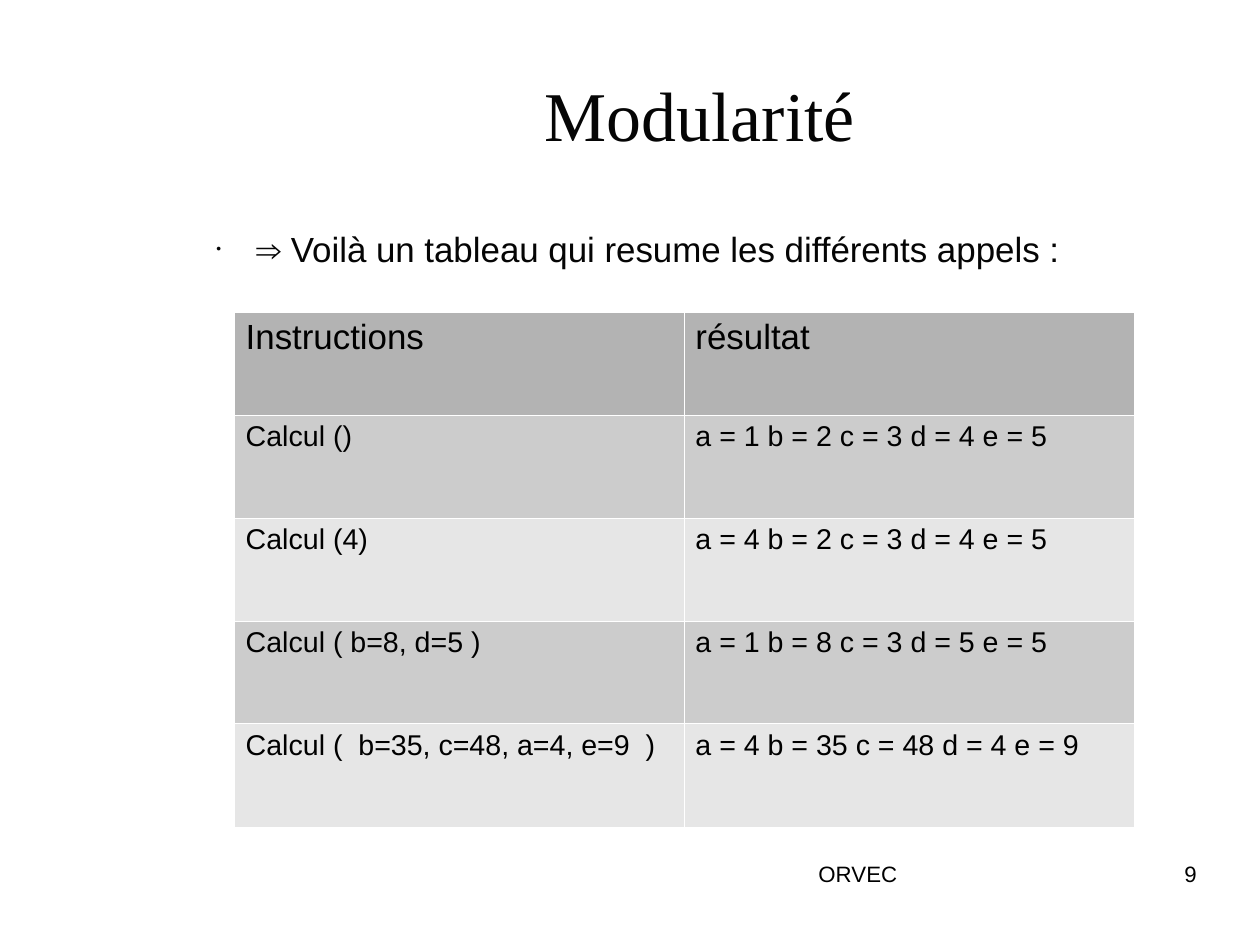
from lxml.etree import SubElement
from pptx import Presentation
from pptx.dml.color import RGBColor
from pptx.enum.text import MSO_ANCHOR, MSO_AUTO_SIZE, PP_ALIGN
from pptx.oxml.ns import qn
from pptx.util import Inches, Pt

# Content
TITLE = "Modularité "
INTRO = "⇒ Voilà un tableau qui resume les différents appels\u00a0: "
CALLS = [
    ("Instructions ", "résultat"),
    ("Calcul () ", "a = 1 b = 2 c = 3 d = 4 e = 5"),
    ("Calcul (4) ", "a = 4 b = 2 c = 3 d = 4 e = 5"),
    ("Calcul ( b=8, d=5 )", "a = 1 b = 8 c = 3 d = 5 e = 5"),
    ("Calcul (  b=35, c=48, a=4, e=9  )", "a = 4 b = 35 c = 48 d = 4 e = 9"),
]
FOOTERS = [("ORVEC", 4.36, 3.49), ("9", 7.9, 2.57)]  # text, left, width

# Formats
COLORS = {"ink": "050505", "black": "000000", "line": "FFFFFF",
          "header": "B3B3B3", "odd": "CCCCCC", "even": "E6E6E6"}
FORMATS = {
    "title": {"size": Pt(44), "name": "Times New Roman"},
    "body": {"size": Pt(22), "name": "Arial"},
    "cell": {"size": Pt(18), "name": "Arial"},
    "footer": {"size": Pt(14), "name": "Arial"},
}
CM_PER_INCH = 2.54
PAGE_W, PAGE_H = 28 / CM_PER_INCH, 21 / CM_PER_INCH
TABLE_W, ROW_HEIGHTS = 7.87, [0.9, 0.9, 0.9, 0.9, 0.91]


def write(tf, text, style, color, align=PP_ALIGN.LEFT):
    p = tf.paragraphs[0]
    p.alignment = align
    r = p.add_run()
    r.text = text
    for key, value in FORMATS[style].items():
        setattr(r.font, key, value)
    r.font.color.rgb = RGBColor.from_string(COLORS[color])
    return p


def place(sp, left, top, width, height, anchor=MSO_ANCHOR.TOP):
    sp.left, sp.top, sp.width, sp.height = map(Inches, (left, top, width, height))
    tf = sp.text_frame
    tf.auto_size = MSO_AUTO_SIZE.NONE
    tf.word_wrap = True
    tf.vertical_anchor = anchor
    for side in ("left", "top", "right", "bottom"):
        setattr(tf, f"margin_{side}", 0)
    return tf


def add_color(parent, color):
    SubElement(parent, qn("a:srgbClr"), val=COLORS[color])


prs = Presentation()
prs.slide_width, prs.slide_height = Inches(PAGE_W), Inches(PAGE_H)
s = prs.slides.add_slide(prs.slide_layouts[1])

# Title
tf = place(s.shapes.title, 1.77, 0.31, 8.86, 1.36, MSO_ANCHOR.MIDDLE)
write(tf, TITLE, "title", "ink", PP_ALIGN.CENTER)

# Bulleted introduction
tf = place(s.placeholders[1], 1.77, 1.99, 8.86, 4.79)
p = write(tf, INTRO, "body", "ink")
p.space_before, p.space_after = Pt(0), Pt(14.1)
pPr = p._p.get_or_add_pPr()
pPr.set("marL", str(Inches(0.47)))
pPr.set("indent", str(Inches(-0.35)))
add_color(SubElement(pPr, qn("a:buClr")), "ink")
SubElement(pPr, qn("a:buSzPct"), val="25000")
SubElement(pPr, qn("a:buFont"), typeface="Arial")
SubElement(pPr, qn("a:buChar"), char="●")

# Table of calls
table = s.shapes.add_table(
    len(CALLS), 2, Inches(2.05), Inches(2.73),
    Inches(TABLE_W), Inches(sum(ROW_HEIGHTS))).table
for col in table.columns:
    col.width = Inches(TABLE_W / 2)
for i, (values, height) in enumerate(zip(CALLS, ROW_HEIGHTS)):
    table.rows[i].height = Inches(height)
    fill = "header" if i == 0 else "odd" if i % 2 else "even"
    for j, text in enumerate(values):
        cell = table.cell(i, j)
        write(cell.text_frame, text, "cell" if i else "body", "black")
        tcPr = cell._tc.get_or_add_tcPr()
        for edge in ("lnL", "lnR", "lnT", "lnB"):
            ln = SubElement(tcPr, qn(f"a:{edge}"), w=str(Pt(0.06)))
            add_color(SubElement(ln, qn("a:solidFill")), "line")
        cell.fill.solid()
        cell.fill.fore_color.rgb = RGBColor.from_string(COLORS[fill])

# Footer and page number
for text, left, width in FOOTERS:
    tf = place(s.shapes.add_textbox(0, 0, 0, 0), left, 7.53, width, 0.57)
    write(tf, text, "footer", "black", PP_ALIGN.RIGHT)

prs.save("out.pptx")
